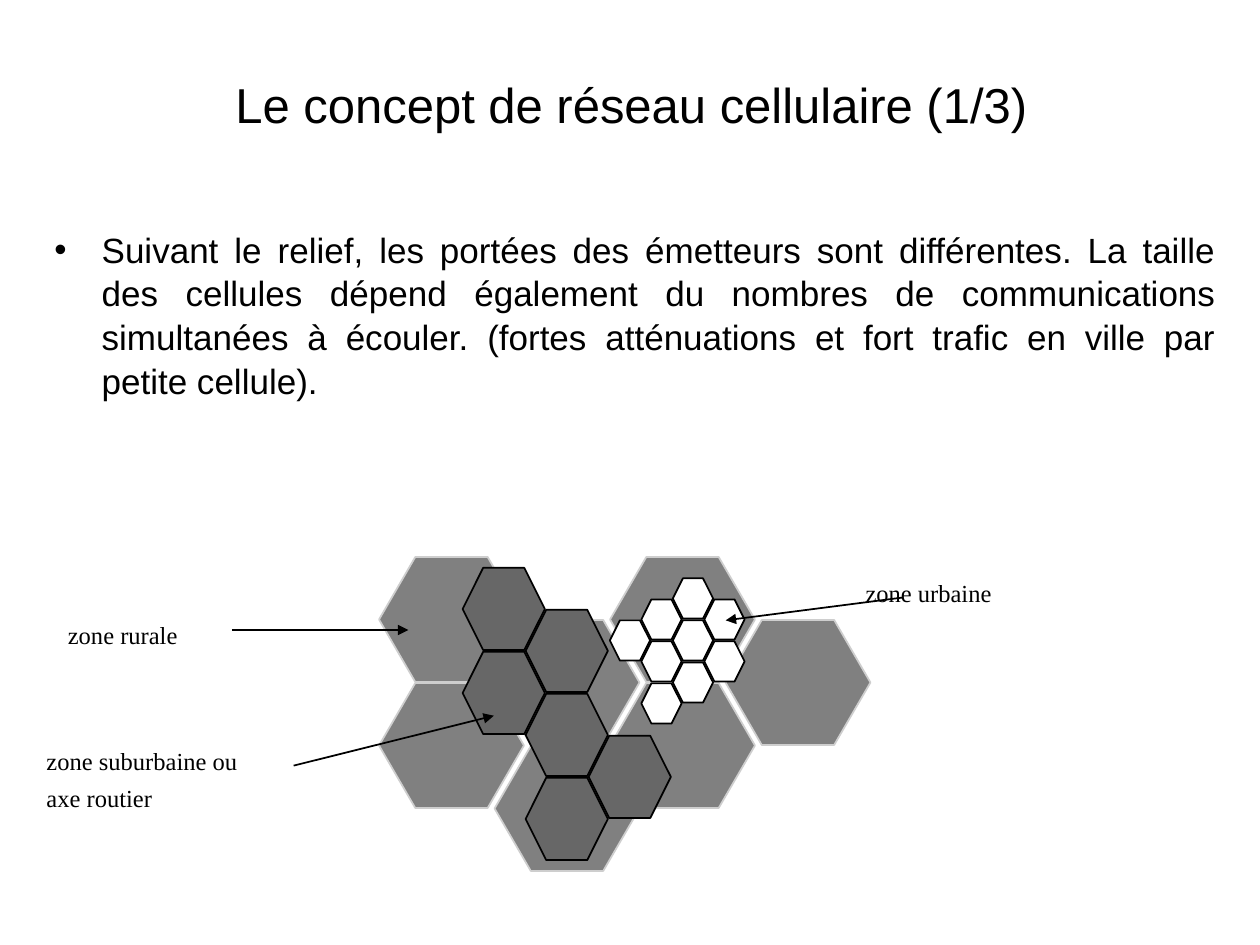
from lxml.etree import SubElement
from pptx import Presentation
from pptx.dml.color import RGBColor
from pptx.enum.shapes import MSO_CONNECTOR, MSO_SHAPE
from pptx.enum.text import MSO_ANCHOR, PP_ALIGN
from pptx.oxml.ns import qn
from pptx.util import Pt

BLACK = RGBColor(0x00, 0x00, 0x00)
WHITE = RGBColor(0xFF, 0xFF, 0xFF)
RURAL = RGBColor(0x80, 0x80, 0x80)
RURAL_EDGE = RGBColor(0xCE, 0xCE, 0xCE)
SUBURBAN = RGBColor(0x67, 0x67, 0x67)

RURAL_CELLS = [(0, 2), (2, 2), (2, 0), (3, 1), (1, 3), (1, 1), (0, 0)]
SUBURBAN_CELLS = [(1, 5), (1, 3), (1, 1), (0, 2), (2, 4), (0, 0)]
URBAN_CELLS = [(2, 4), (2, 2), (1, 3), (1, 1), (0, 2), (1, 5), (3, 3), (2, 0), (3, 1)]


def add_bullet(p, indent):
    pPr = p._p.get_or_add_pPr()
    pPr.set("marL", str(Pt(indent)))
    pPr.set("indent", str(-Pt(indent)))
    SubElement(pPr, qn("a:buFont")).set("typeface", "Arial")
    SubElement(pPr, qn("a:buChar")).set("char", "•")


def add_text(s, lines, left, top, width, height, size=14, font="Times New Roman",
             align=PP_ALIGN.LEFT, anchor=MSO_ANCHOR.TOP, spacing=1.05, bullet=False):
    tf = s.shapes.add_textbox(Pt(left), Pt(top), Pt(width), Pt(height)).text_frame
    tf.word_wrap = True
    tf.vertical_anchor = anchor
    for i, line in enumerate(lines):
        p = tf.add_paragraph() if i else tf.paragraphs[0]
        p.alignment = align
        p.line_spacing = spacing
        if i:
            p.space_before = Pt(3.5)
        if bullet:
            add_bullet(p, 27)
        r = p.add_run()
        r.text = line
        r.font.size = Pt(size)
        r.font.name = font
        r.font.color.rgb = BLACK


def add_cells(s, cells, left, top, width, height, dx, dy, adj, fill, edge):
    for col, row in cells:
        sp = s.shapes.add_shape(MSO_SHAPE.HEXAGON, Pt(left + col * dx), Pt(top + row * dy),
                                Pt(width), Pt(height))
        sp.adjustments[0] = adj
        sp.shadow.inherit = False
        sp.fill.solid()
        sp.fill.fore_color.rgb = fill
        sp.line.color.rgb = edge
        sp.line.width = Pt(1)


def add_arrow(s, x1, y1, x2, y2):
    cxn = s.shapes.add_connector(MSO_CONNECTOR.STRAIGHT, Pt(x1), Pt(y1), Pt(x2), Pt(y2))
    cxn.line.color.rgb = BLACK
    cxn.line.width = Pt(1)
    SubElement(cxn.line._get_or_add_ln(), qn("a:tailEnd")).set("type", "triangle")
    SubElement(cxn._element.spPr, qn("a:effectLst"))


def main():
    prs = Presentation()
    prs.slide_width, prs.slide_height = Pt(720), Pt(540)
    s = prs.slides.add_slide(prs.slide_layouts[6])

    add_text(s, ["Suivant le relief, les portées des émetteurs sont différentes. La taille des "
                 "cellules dépend également du nombres de communications simultanées à écouler. "
                 "(fortes atténuations et fort trafic en ville par petite cellule)."],
             24, 126, 678, 354, size=20, font="Arial", align=PP_ALIGN.JUSTIFY,
             spacing=1.04, bullet=True)

    add_cells(s, RURAL_CELLS, 216.6, 318.3, 82.8, 71.4, 66, 36, 0.29, RURAL, RURAL_EDGE)
    add_cells(s, SUBURBAN_CELLS, 264.4, 324.5, 47, 47, 36, 24, 0.25, SUBURBAN, BLACK)
    add_cells(s, URBAN_CELLS, 348.5, 330.5, 23, 23, 18, 12, 0.25, WHITE, BLACK)

    add_arrow(s, 132.5, 360, 233.3, 360)
    add_arrow(s, 167.8, 437.5, 282.2, 409)
    add_arrow(s, 515.5, 341.5, 414.7, 354.5)

    add_text(s, ["zone rurale"], 31.7, 350, 131, 24)
    add_text(s, ["zone suburbaine ou", "axe routier"], 19.5, 422, 177, 44)
    add_text(s, ["zone urbaine"], 487.5, 326, 140, 24)
    add_text(s, ["Le concept de réseau cellulaire (1/3)"], 36.7, 43.2, 648, 32.4, size=28,
             font="Arial", align=PP_ALIGN.CENTER, anchor=MSO_ANCHOR.MIDDLE, spacing=1.0)

    prs.save("out.pptx")


if __name__ == "__main__":
    main()
